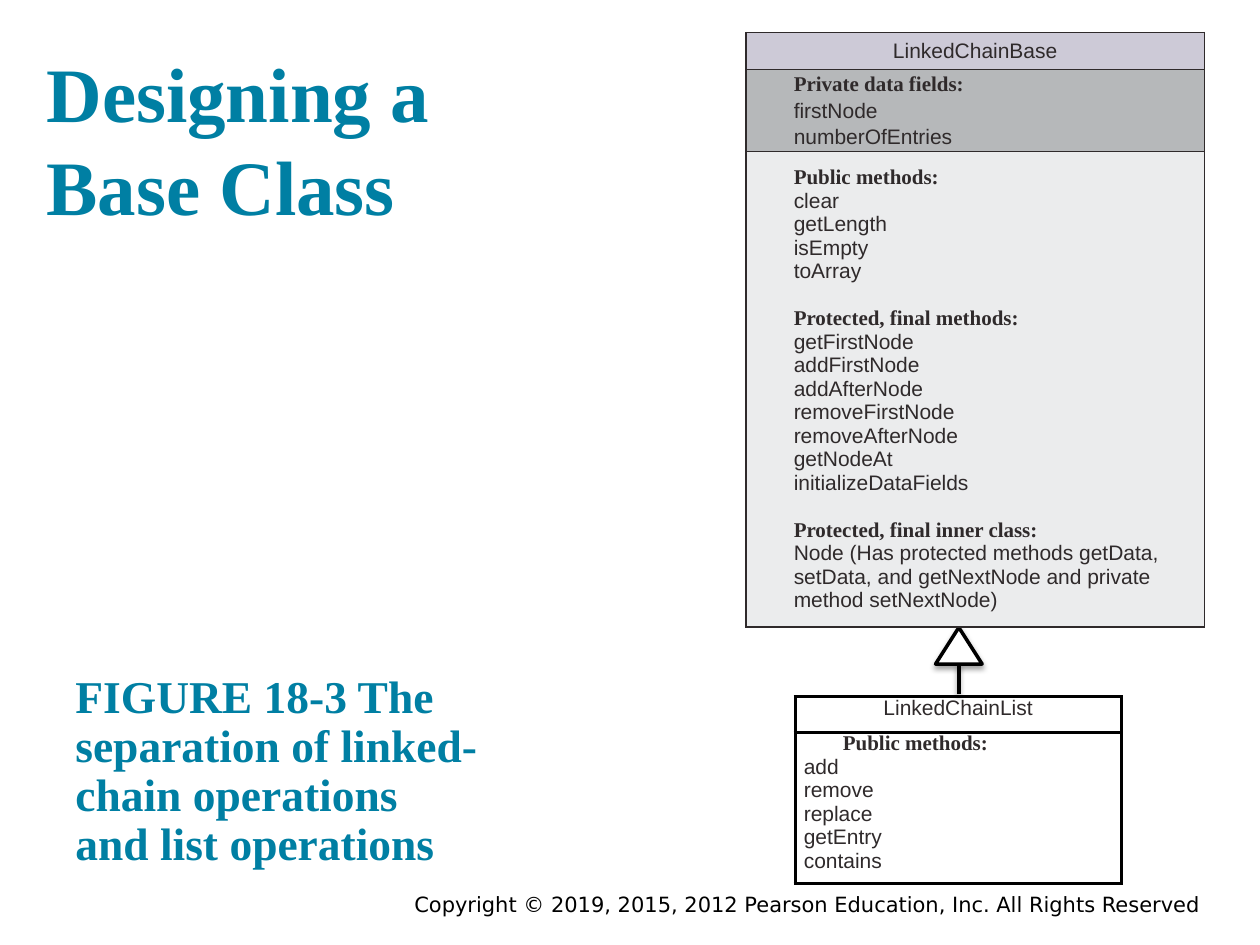
from dataclasses import dataclass

from lxml import etree
from pptx import Presentation
from pptx.dml.color import RGBColor
from pptx.enum.shapes import MSO_CONNECTOR, MSO_SHAPE
from pptx.enum.text import MSO_ANCHOR, PP_ALIGN
from pptx.oxml.ns import qn
from pptx.util import Inches, Pt

LEFT, CENTER, RIGHT = PP_ALIGN.LEFT, PP_ALIGN.CENTER, PP_ALIGN.RIGHT
TOP, MIDDLE, BOTTOM = MSO_ANCHOR.TOP, MSO_ANCHOR.MIDDLE, MSO_ANCHOR.BOTTOM
STRAIGHT = MSO_CONNECTOR.STRAIGHT
TRIANGLE = MSO_SHAPE.ISOSCELES_TRIANGLE
SERIF, SANS, FOOTER_FONT = "Times New Roman", "Arial", "DejaVu Sans"
BLACK, WHITE, INK, TEAL = "000000", "FFFFFF", "2F2A2B", "007FA3"


@dataclass
class Line:
    text: str
    bold: bool = False
    indent: float = 0.31
    before: float = 0
    spacing: float = 1.0
    align: PP_ALIGN = LEFT


@dataclass
class Row:
    height: float
    lines: list[Line]
    fill: str | None = None


@dataclass
class ClassBox:
    left: float
    top: float
    width: float
    border: str
    border_points: float
    anchor: MSO_ANCHOR
    rows: list[Row]


@dataclass
class Label:
    text: str
    left: float
    top: float
    width: float
    height: float
    size: float
    font: str = SERIF
    color: str = TEAL
    bold: bool = True
    inset: float = 0.1
    anchor: MSO_ANCHOR = BOTTOM
    align: PP_ALIGN = LEFT
    spacing: float = 1.0


def paint(color_format, value: str) -> None:
    """Give a fill, line or font colour its hex value."""
    color_format.rgb = RGBColor.from_string(value)


def add_span(para, text: str, size: float, font: str, color: str, bold: bool) -> None:
    """Append one styled run to a paragraph."""
    span = para.add_run()
    span.text = text
    span.font.size = Pt(size)
    span.font.name = font
    span.font.bold = bold
    paint(span.font.color, color)


def add_label(page, label: Label) -> None:
    """Draw one free-standing text box."""
    box = page.shapes.add_textbox(
        Inches(label.left), Inches(label.top), Inches(label.width), Inches(label.height)
    )
    frame = box.text_frame
    frame.word_wrap = True
    frame.vertical_anchor = label.anchor
    frame.margin_left = frame.margin_right = Inches(label.inset)
    frame.margin_top = frame.margin_bottom = Inches(label.inset)
    para = frame.paragraphs[0]
    para.alignment = label.align
    para.line_spacing = label.spacing
    add_span(para, label.text, label.size, label.font, label.color, label.bold)


def set_borders(cell, color: str, points: float) -> None:
    """Draw the four borders of a table cell ahead of its fill."""
    properties = cell._tc.get_or_add_tcPr()
    for index, side in enumerate(("a:lnL", "a:lnR", "a:lnT", "a:lnB")):
        border = etree.Element(qn(side), w=str(Pt(points)))
        solid = etree.SubElement(border, qn("a:solidFill"))
        etree.SubElement(solid, qn("a:srgbClr"), val=color)
        properties.insert(index, border)


def fill_cell(cell, row: Row, anchor: MSO_ANCHOR) -> None:
    """Set the background, margins and lines of a table cell."""
    if row.fill:
        cell.fill.solid()
        paint(cell.fill.fore_color, row.fill)
    else:
        cell.fill.background()
    cell.vertical_anchor = anchor
    cell.margin_left = cell.margin_right = Inches(0.07)
    cell.margin_top = cell.margin_bottom = 0
    frame = cell.text_frame
    for index, line in enumerate(row.lines):
        para = frame.add_paragraph() if index else frame.paragraphs[0]
        para.alignment = line.align
        para.line_spacing = line.spacing
        para.space_before = Pt(line.before if index else 0)
        para._p.get_or_add_pPr().set("marL", str(Inches(line.indent)))
        add_span(para, line.text, 12, SERIF if line.bold else SANS, INK, line.bold)


def add_class_box(page, box: ClassBox) -> None:
    """Draw a class diagram box as a one-column table."""
    height = sum(row.height for row in box.rows)
    table = page.shapes.add_table(
        len(box.rows), 1, Inches(box.left), Inches(box.top), Inches(box.width), Inches(height)
    ).table
    table.first_row = table.horz_banding = False
    for index, row in enumerate(box.rows):
        table.rows[index].height = Inches(row.height)
        cell = table.cell(index, 0)
        fill_cell(cell, row, box.anchor)
        set_borders(cell, box.border, box.border_points)


def set_shadow(shape) -> None:
    """Give a shape a soft shadow straight below it."""
    effects = etree.SubElement(shape._element.spPr, qn("a:effectLst"))
    shadow = etree.SubElement(
        effects, qn("a:outerShdw"), blurRad=str(Pt(3)), dist=str(Pt(1.7)), dir="5400000"
    )
    color = etree.SubElement(shadow, qn("a:srgbClr"), val=BLACK)
    etree.SubElement(color, qn("a:alpha"), val="36000")


def add_inheritance_arrow(page, center: float, tip: float, end: float) -> None:
    """Draw a hollow triangle with a stem leading down from it."""
    width, height = 0.37, 0.29
    stem = page.shapes.add_connector(
        STRAIGHT, Inches(center), Inches(end), Inches(center), Inches(tip + height)
    )
    head = page.shapes.add_shape(
        TRIANGLE, Inches(center - width / 2), Inches(tip), Inches(width), Inches(height)
    )
    head.fill.solid()
    paint(head.fill.fore_color, WHITE)
    for shape in (stem, head):
        shape.line.width = Pt(2)
        paint(shape.line.color, BLACK)
        set_shadow(shape)


def member_lines(heading: str, members: list[str], indent: float = 0.31, before: float = 0) -> list[Line]:
    """List a bold heading and the members under it."""
    return [Line(heading, True, before=before)] + [Line(name, indent=indent) for name in members]


FIELDS = [
    Line(text, bold, before=1, spacing=1.04)
    for text, bold in (("Private data fields:", True), ("firstNode", False), ("numberOfEntries", False))
]
METHODS = (
    member_lines("Public methods:", ["clear", "getLength", "isEmpty", "toArray"])
    + member_lines(
        "Protected, final methods:",
        ["getFirstNode", "addFirstNode", "addAfterNode", "removeFirstNode",
         "removeAfterNode", "getNodeAt", "initializeDataFields"],
        before=13.5,
    )
    + member_lines(
        "Protected, final inner class:",
        ["Node (Has protected methods getData, setData, and getNextNode and private method setNextNode)"],
        before=13.5,
    )
)
BASE_BOX = ClassBox(5.92, 0.26, 3.64, INK, 1, MIDDLE, [
    Row(0.29, [Line("LinkedChainBase", indent=0, align=CENTER)], "CDCAD7"),
    Row(0.64, FIELDS, "B6B8BA"),
    Row(3.55, METHODS, "EBECED"),
])
LIST_BOX = ClassBox(6.31, 5.53, 2.59, BLACK, 2, TOP, [
    Row(0.28, [Line("LinkedChainList", indent=0, align=CENTER)]),
    Row(1.2, member_lines("Public methods:", ["add", "remove", "replace", "getEntry", "contains"], indent=0)),
])
LABELS = [
    Label("Copyright © 2019, 2015, 2012 Pearson Education, Inc. All Rights Reserved",
          1.75, 7.03, 7.83, 0.31, 12, FOOTER_FONT, BLACK, False, 0.05, TOP, RIGHT),
    Label("Designing a Base Class", 0.27, 0, 3.89, 1.93, 44),
    Label("FIGURE 18-3 The separation of linked-chain operations and list operations",
          0.5, 5.08, 3.43, 1.93, 26, spacing=0.9),
]


def main() -> None:
    """Build the slide and save it."""
    deck = Presentation()
    deck.slide_width, deck.slide_height = Inches(10), Inches(7.5)
    page = deck.slides.add_slide(deck.slide_layouts[6])
    for label in LABELS:
        add_label(page, label)
    add_inheritance_arrow(page, center=7.61, tip=4.98, end=5.51)
    for box in (BASE_BOX, LIST_BOX):
        add_class_box(page, box)
    deck.save("out.pptx")


if __name__ == "__main__":
    main()
